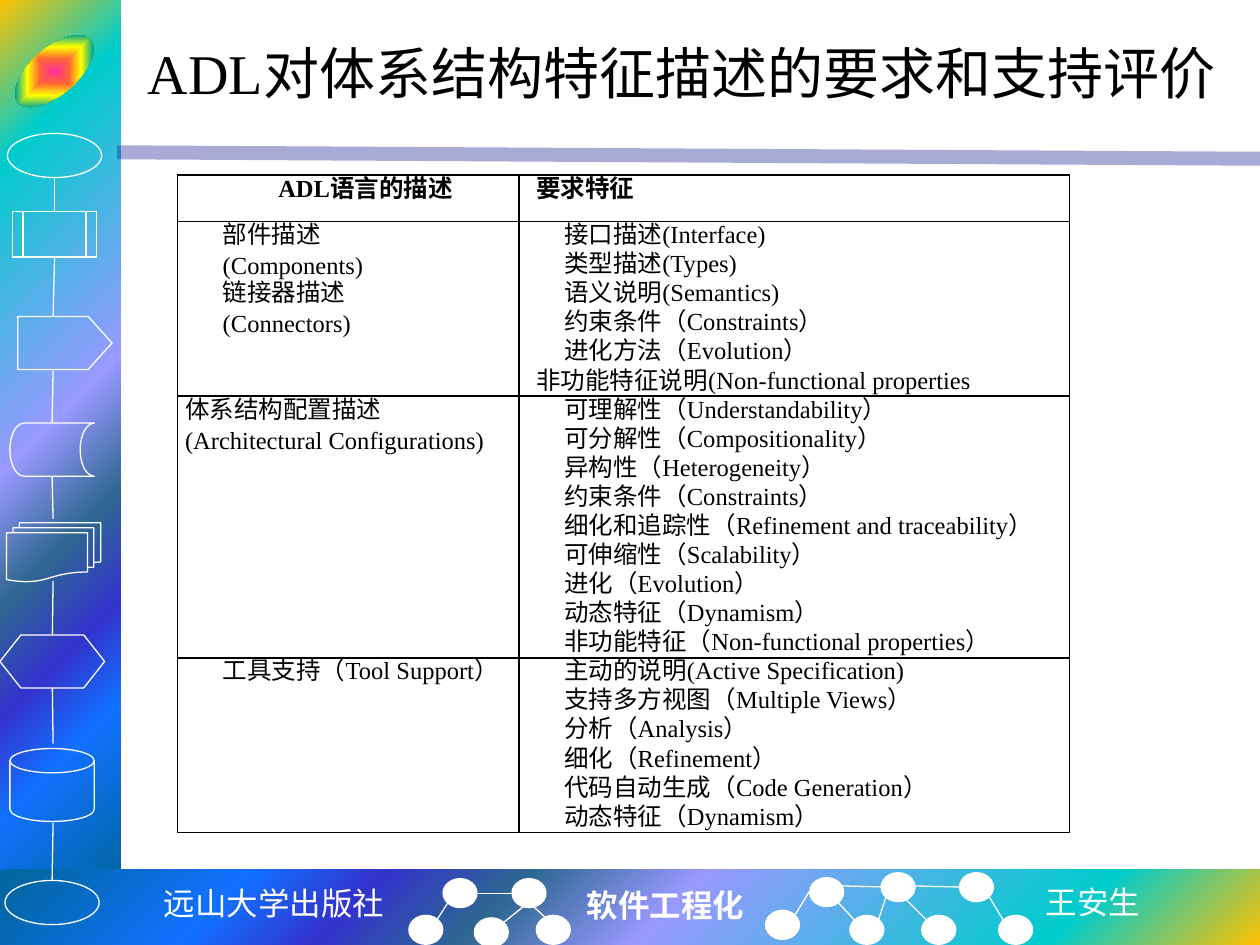
"""Build the slide on ADL requirements with its decorated frame and table."""
from lxml import etree
from pptx import Presentation
from pptx import util as u
from pptx.dml.color import RGBColor
from pptx.enum import shapes, text
from pptx.oxml import parse_xml
from pptx.oxml.ns import nsdecls, qn

WHITE = RGBColor(0xFF, 0xFF, 0xFF)
BLACK = RGBColor(0, 0, 0)
NAVY = RGBColor(0x26, 0x26, 0x99)
FRAME_STOPS = [(0, RGBColor(0xFF, 0xC0, 0x00)), (16, RGBColor(0x00, 0xCC, 0xCC)),
               (47, RGBColor(0x99, 0x99, 0xFF)), (60, RGBColor(0x2E, 0x67, 0x92)),
               (71, RGBColor(0x33, 0x33, 0xCC)), (81, RGBColor(0x11, 0x70, 0xFF)),
               (100, RGBColor(0x00, 0x66, 0x99))]
BADGE_STOPS = [(0, RGBColor(0xFF, 0x33, 0x99)), (25, RGBColor(0xFF, 0x66, 0x33)),
               (50, RGBColor(0xFF, 0xFF, 0x00)), (75, RGBColor(0x01, 0xA7, 0x8F)),
               (100, RGBColor(0x33, 0x66, 0xFF))]
SERIF = "Times New Roman"
SANS = "Noto Sans CJK SC"
LEFT, RIGHT, JUSTIFY = text.PP_ALIGN.LEFT, text.PP_ALIGN.RIGHT, text.PP_ALIGN.JUSTIFY
KIND = shapes.MSO_SHAPE

presentation = Presentation()
presentation.slide_width = u.Cm(25.4)
presentation.slide_height = u.Cm(19.05)
slide = presentation.slides.add_slide(presentation.slide_layouts[6])


def add_line(x1, y1, x2, y2, color=WHITE, width=0.75):
    line = slide.shapes.add_connector(shapes.MSO_CONNECTOR.STRAIGHT,
                                      u.Cm(x1), u.Cm(y1), u.Cm(x2), u.Cm(y2))
    line.line.color.rgb = color
    line.line.width = u.Pt(width)
    etree.SubElement(line._element.spPr, qn("a:effectLst"))
    return line


def add_run(paragraph, words, size, font, color, bold=False):
    run = paragraph.add_run()
    run.text = words
    run.font.size = u.Pt(size)
    run.font.name = font
    run.font.bold = bold
    run.font.color.rgb = color
    etree.SubElement(run.font._element, qn("a:ea"), typeface=SANS)


for kind, box, angle, stops, form, focus in [
    (KIND.RECTANGLE, (0, 0, 2.44, 18.01), 0, FRAME_STOPS, "circle", (0, 0, 100, 100)),
    (KIND.RECTANGLE, (0, 17.53, 25.4, 1.52), 0, FRAME_STOPS, "circle", (100, 100, 0, 0)),
    (KIND.OVAL, (0.13, 0.97, 1.93, 0.93), -41, BADGE_STOPS, "shape", (50, 50, 50, 50)),
]:
    shape = slide.shapes.add_shape(kind, *map(u.Cm, box))
    shape.shadow.inherit = False
    shape.rotation = angle
    shape.line.fill.background()
    stop_xml = "".join(f'<a:gs pos="{place * 1000}"><a:srgbClr val="{color}"/></a:gs>'
                       for place, color in stops)
    sides = " ".join(f'{side}="{part * 1000}"' for side, part in zip("ltrb", focus))
    shape._element.spPr.find(qn("a:prstGeom")).addnext(parse_xml(
        f'<a:gradFill {nsdecls("a")} rotWithShape="1"><a:gsLst>{stop_xml}</a:gsLst>'
        f'<a:path path="{form}"><a:fillToRect {sides}/></a:path></a:gradFill>'))

rule = add_line(2.36, 3.07, 25.4, 3.2, NAVY, 8)
rule_color = next(rule._element.spPr.iter(qn("a:srgbClr")))
etree.SubElement(rule_color, qn("a:alpha"), val="39000")

flow = {}
for name, kind, left, top, width, height in [
    ("start", KIND.OVAL, 0.15, 2.69, 1.9, 0.89),
    ("process", KIND.FLOWCHART_PREDEFINED_PROCESS, 0.25, 4.27, 1.7, 0.91),
    ("plate", KIND.PENTAGON, 0.36, 6.38, 1.9, 1.07),
    ("storage", KIND.FLOWCHART_STORED_DATA, 0.2, 8.53, 1.7, 1.07),
    ("documents", KIND.FLOWCHART_MULTIDOCUMENT, 0.13, 10.54, 1.9, 1.19),
    ("preparation", KIND.FLOWCHART_PREPARATION, 0, 12.8, 2.11, 1.07),
    ("disk", KIND.FLOWCHART_MAGNETIC_DISK, 0.2, 15.09, 1.7, 1.47),
    ("end", KIND.OVAL, 0.1, 17.75, 1.9, 0.89),
]:
    shape = slide.shapes.add_shape(kind, u.Cm(left), u.Cm(top), u.Cm(width), u.Cm(height))
    shape.shadow.inherit = False
    shape.fill.background()
    shape.line.color.rgb = WHITE
    shape.line.width = u.Pt(0.75)
    flow[name] = shape
flow["plate"].adjustments[0] = 0.45

for x1, y1, x2, y2, source, target in [
    (1.1, 3.56, 1.1, 4.27, None, "process"),
    (1.1, 5.2, 1.07, 6.38, "process", None),
    (1.07, 7.44, 1.07, 8.53, None, "storage"),
    (1.07, 9.6, 1.07, 10.46, "storage", None),
    (1.07, 11.71, 1.07, 12.8, None, "preparation"),
    (1.07, 13.94, 1.07, 14.99, "preparation", None),
    (1.07, 16.59, 1.07, 17.75, None, "end"),
]:
    link = add_line(x1, y1, x2, y2)
    if source:
        link.begin_connect(flow[source], 2)
    if target:
        link.end_connect(flow[target], 0)

for left, top in [(8.92, 17.7), (10.31, 17.7), (8.23, 18.44), (9.55, 18.49), (10.8, 18.44),
                  (15.42, 18.34), (16.31, 17.68), (17.75, 17.58), (19.33, 17.58),
                  (17.12, 18.44), (18.57, 18.44), (20.12, 18.44)]:
    dot = slide.shapes.add_shape(KIND.OVAL, u.Cm(left), u.Cm(top), u.Cm(0.71), u.Cm(0.61))
    dot.shadow.inherit = False
    dot.fill.solid()
    dot.fill.fore_color.rgb = WHITE
    dot.line.fill.background()

for ends in [(8.81, 18.54, 9.02, 18.21), (10.16, 18.59, 10.57, 18.26),
             (10.31, 18.01, 9.63, 18.01), (11.02, 18.52, 10.77, 18.29),
             (16.03, 18.44, 16.31, 17.98), (17.22, 18.54, 16.89, 18.19),
             (16.97, 17.86, 17.86, 17.88), (17.7, 18.57, 17.86, 18.08),
             (18.67, 18.54, 18.16, 18.03), (18.44, 17.86, 19.33, 17.88),
             (20.22, 18.54, 19.94, 18.08)]:
    add_line(*ends)

for words, box, size, font, color, bold, align, wrap in [
    ("远山大学出版社", (3.02, 17.7, 5, 1.02), 18, "Courier New", WHITE, False,
     text.PP_ALIGN.CENTER, False),
    ("软件工程化", (11.58, 17.73, 3.71, 1.02), 18, SERIF, WHITE, True, LEFT, False),
    ("王安生", (20.83, 17.68, 2.44, 1.02), 18, SANS, WHITE, False, LEFT, False),
    ("ADL对体系结构特征描述的要求和支持评价", (2.39, 0.43, 22.38, 2.06), 32, SERIF, BLACK,
     False, RIGHT, True),
]:
    frame = slide.shapes.add_textbox(*map(u.Cm, box)).text_frame
    frame.word_wrap = wrap
    frame.vertical_anchor = text.MSO_ANCHOR.MIDDLE if wrap else text.MSO_ANCHOR.TOP
    frame.paragraphs[0].alignment = align
    add_run(frame.paragraphs[0], words, size, font, color, bold)

WIDE, NARROW = 0.76, 0.2
rows = [
    (0.94, ["ADL语言的描述"], WIDE, ["要求特征"]),
    (2.82, ["部件描述", "(Components)", "链接器描述", "(Connectors)"], WIDE,
     ["接口描述(Interface)", "类型描述(Types)", "语义说明(Semantics)", "约束条件（Constraints）",
      "进化方法（Evolution）", "非功能特征说明(Non-functional properties"]),
    (4.7, ["体系结构配置描述", "(Architectural Configurations)"], -0.02,
     ["可理解性（Understandability）", "可分解性（Compositionality）", "异构性（Heterogeneity）",
      "约束条件（Constraints）", "细化和追踪性（Refinement and traceability）",
      "可伸缩性（Scalability）", "进化（Evolution）", "动态特征（Dynamism）",
      "非功能特征（Non-functional properties）"]),
    (2.82, ["工具支持（Tool Support）"], WIDE,
     ["主动的说明(Active Specification)", "支持多方视图（Multiple Views）", "分析（Analysis）",
      "细化（Refinement）", "代码自动生成（Code Generation）", "动态特征（Dynamism）"]),
]
table = slide.shapes.add_table(len(rows), 2, u.Cm(3.58), u.Cm(3.53),
                               u.Cm(17.98), u.Cm(11.28)).table
table.first_row = table.horz_banding = False
table.columns[0].width = u.Cm(6.88)
table.columns[1].width = u.Cm(11.1)
for row, (height, subjects, indent, features) in enumerate(rows):
    table.rows[row].height = u.Cm(height)
    for column, lines in enumerate((subjects, features)):
        cell = table.cell(row, column)
        cell.margin_left = cell.margin_right = u.Cm(0.15)
        cell.margin_top = cell.margin_bottom = 0
        for side in "LRTB":
            cell._tc.get_or_add_tcPr().append(parse_xml(
                f'<a:ln{side} {nsdecls("a")} w="12700"><a:solidFill>'
                f'<a:srgbClr val="{BLACK}"/></a:solidFill></a:ln{side}>'))
        cell.fill.background()
        for number, words in enumerate(lines):
            frame = cell.text_frame
            paragraph = frame.add_paragraph() if number else frame.paragraphs[0]
            paragraph.alignment = JUSTIFY if column and row else LEFT
            paragraph.line_spacing = u.Pt(16.6)
            outdented = column and (row == 0 or words.startswith("非功能特征说明"))
            first = NARROW if outdented else WIDE if column else indent
            properties = paragraph._p.get_or_add_pPr()
            properties.set("marL", str(u.Cm(0 if row or column else 1.12)))
            properties.set("indent", str(u.Cm(first)))
            add_run(paragraph, words, 14, SERIF, BLACK, row == 0)

presentation.save("out.pptx")
